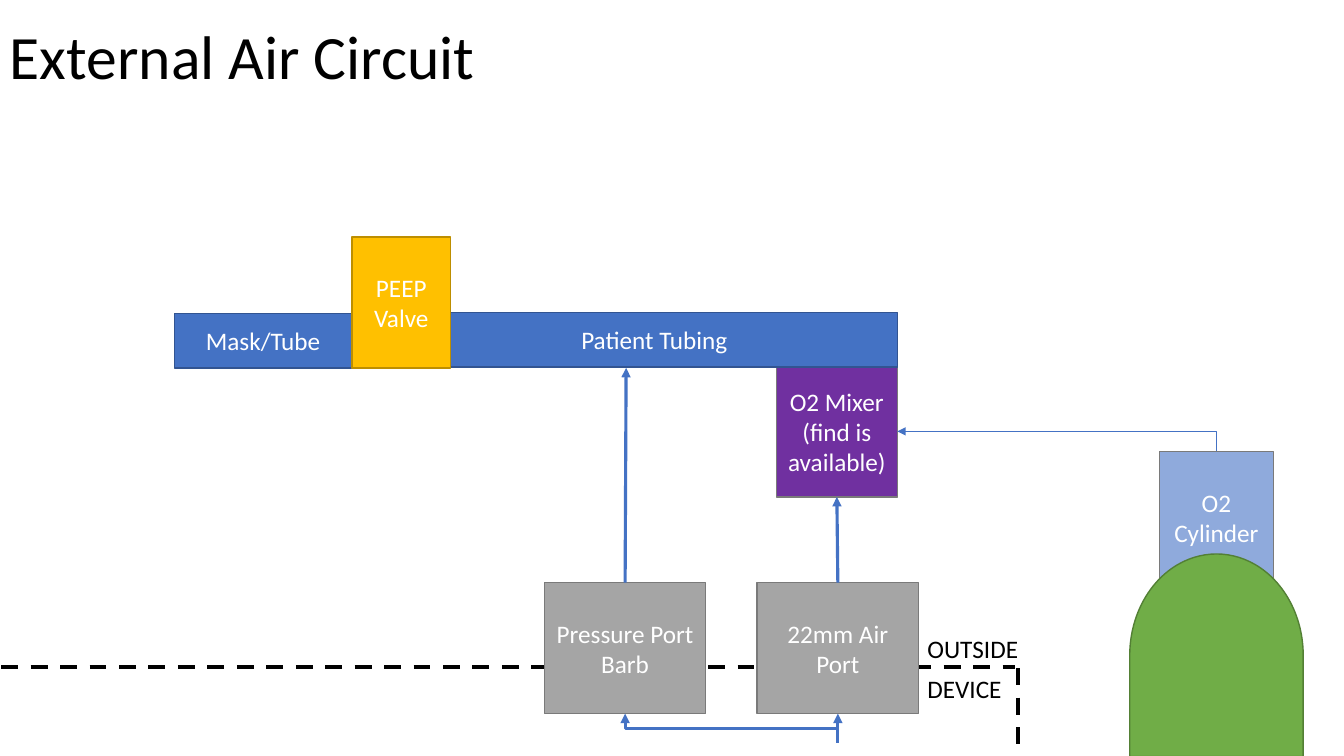
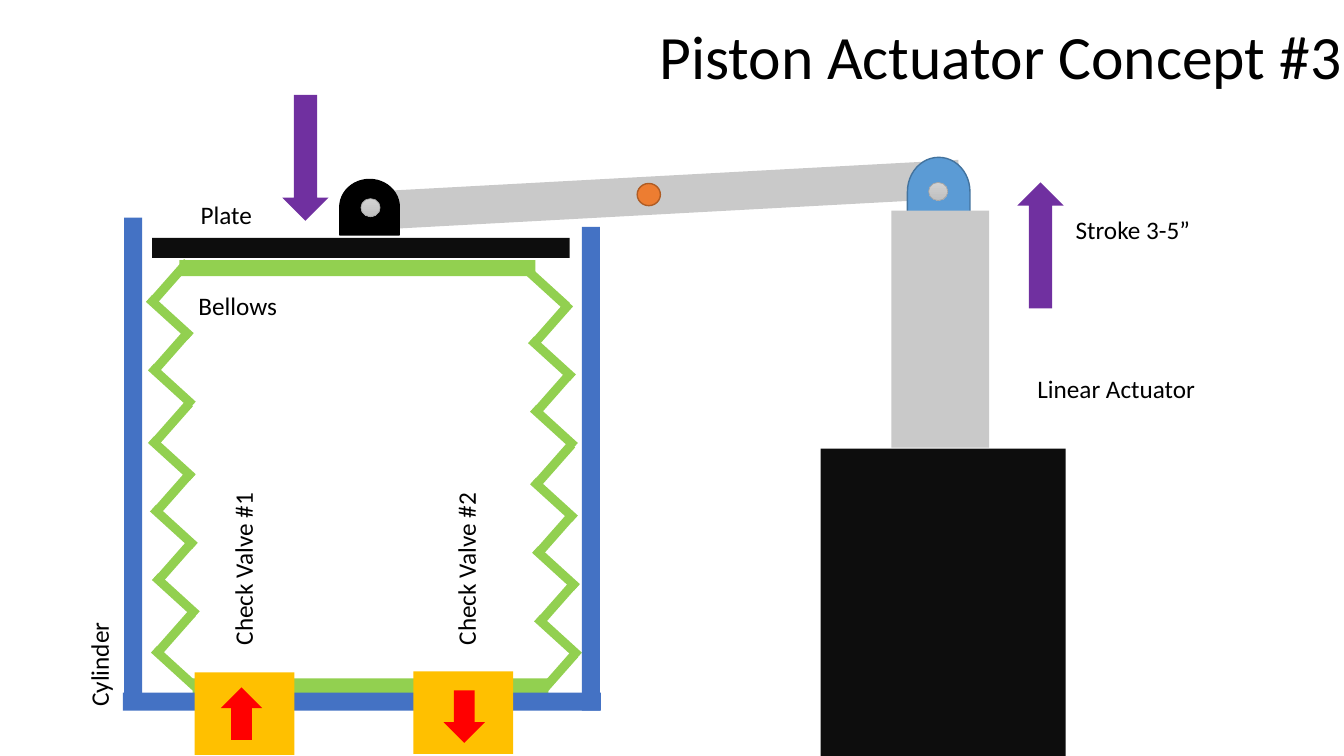
from lxml import etree
from pptx import Presentation
from pptx.dml.color import RGBColor
from pptx.enum.dml import MSO_LINE
from pptx.enum.shapes import MSO_CONNECTOR as CONN, MSO_SHAPE as SHAPE
from pptx.enum.text import MSO_ANCHOR as ANCHOR, PP_ALIGN as ALIGN
from pptx.oxml.ns import qn
from pptx.util import Cm, Pt

FONT = "Calibri"
COLORS = {
    "black": "000000", "white": "FFFFFF", "ink": "0D0D0D",
    "grey": "A5A5A5", "grey_edge": "7A7A7A", "steel": "C9C9C9",
    "pin_top": "D2D2D2", "pin_base": "C0C0C0",
    "blue": "4472C4", "blue_edge": "325491", "pale_blue": "8FAADC",
    "sky": "5B9BD5", "sky_edge": "43739E",
    "gold": "FFC000", "gold_edge": "BD8E00", "purple": "7030A0",
    "green": "70AD47", "green_edge": "538035", "lime": "92D050",
    "orange": "ED7D31", "orange_edge": "AF5C24", "red": "FF0000",
}
TOP, BOTTOM, RIGHT = 0, 2, 3

CIRCUIT_BOXES = [
    ("air_port", ["22mm Air Port"], (7.51, 5.78, 1.6, 1.3), "grey", "grey_edge"),
    ("pressure_port", ["Pressure Port Barb"], (5.4, 5.78, 1.6, 1.3), "grey", "grey_edge"),
    ("mixer", ["O2 Mixer", "(find is available)"], (7.7, 3.63, 1.2, 1.3), "purple", "grey_edge"),
    ("tubing", ["Patient Tubing"], (4.08, 3.1, 4.82, 0.54), "blue", "blue_edge"),
    ("mask", ["Mask/Tube"], (1.73, 3.11, 1.76, 0.54), "blue", "blue_edge"),
    ("peep", ["PEEP Valve"], (3.49, 2.35, 0.98, 1.3), "gold", "gold_edge"),
    ("oxygen", ["O2 Cylinder"], (11.5, 4.48, 1.13, 1.3), "pale_blue", "grey_edge"),
]
BOUNDARY = [((10.1, 6.63), (10.1, 7.5)), ((-0.28, 6.62), (10.07, 6.62))]
CIRCUIT_LABELS = [("DEVICE", (9.1, 6.63, 1.93, 0.4), 0),
                  ("OUTSIDE", (9.1, 6.23, 1.93, 0.4), 0)]
AIR_INLET = (8.31, 7.37)

FOLD_SIZE = (0.09, 0.56)
FOLD_STEP = (0.01, 0.34)
FOLD_TILTS = (41.4, 312.3)
LEFT_FOLDS = [(1.63, 2.53, 4), (1.65, 3.93, 6), (1.68, 6.01, 2)]
RIGHT_FOLDS = [(5.37, 2.57, 1), (5.42, 2.94, 4), (5.44, 4.34, 6), (5.47, 6.42, 1)]
BELLOWS_ENDS = [(1.91, 6.73, 3.53, 0.16), (1.78, 2.58, 3.53, 0.16)]
CYLINDER = [(1.23, 2.16, 0.18, 4.8), (5.77, 2.25, 0.18, 4.8), (1.22, 6.87, 4.74, 0.18)]
LEVER = (3.44, 1.75, 6.08, 0.38)
PLATE = (1.51, 2.36, 4.14, 0.2)
VALVES = [(1.93, 6.67, 0.99, 0.82), (4.1, 6.66, 0.99, 0.82)]
ROD = (8.84, 2.09, 0.97, 2.35)
MOTOR = (8.14, 4.45, 2.43, 3.05)
PIVOT = (6.32, 1.82, 0.23, 0.22)
PINS = [(9.21, 1.81, 0.19, 0.18), (3.58, 1.97, 0.19, 0.18)]
HINGES = [((3.39, 1.76, 0.55, 0.59), "black", "black"),
          ((8.97, 1.59, 0.68, 0.62), "sky", "sky_edge")]
ARROWS = [
    (SHAPE.UP_ARROW, (2.19, 6.82, 0.41, 0.52), "red"),
    (SHAPE.DOWN_ARROW, (4.4, 6.85, 0.41, 0.52), "red"),
    (SHAPE.UP_ARROW, (10.09, 1.81, 0.46, 1.25), "purple"),
    (SHAPE.DOWN_ARROW, (2.8, 0.94, 0.46, 1.25), "purple"),
]
PISTON_LABELS = [(text, (x, y, 2.12, 0.4), turn) for text, x, y, turn in [
    ("Linear Actuator", 10.19, 3.65, 0), ("Bellows", 1.87, 2.83, 0),
    ("Plate", 1.89, 1.93, 0), ("Stroke 3-5”", 10.57, 2.08, 0),
    ("Cylinder", -0.08, 5.85, 270),
    ("Check Valve #1", 1.35, 5.24, 270), ("Check Valve #2", 3.56, 5.24, 270),
]]


def inches(*values):
    return [Cm(v * 2.54) for v in values]


def rgb(name):
    return RGBColor.from_string(COLORS[name])


def write(tf, lines, size=18, color="black", align=None, anchor=ANCHOR.TOP):
    tf.word_wrap = True
    tf.vertical_anchor = anchor
    for i, line in enumerate(lines):
        p = tf.paragraphs[0] if i == 0 else tf.add_paragraph()
        p.alignment = align
        r = p.add_run()
        r.text = line
        r.font.name, r.font.size = FONT, Pt(size)
        r.font.color.rgb = rgb(color)


def add_label(s, text, box, turn=0, **style):
    sp = s.shapes.add_textbox(*inches(*box))
    sp.rotation = turn
    write(sp.text_frame, [text], **style)
    return sp


def add_slide(prs, title, left):
    s = prs.slides.add_slide(prs.slide_layouts[6])
    sp = add_label(s, title, (left, -0.13, 11.5, 1.45), size=44, anchor=ANCHOR.MIDDLE)
    sp.text_frame.paragraphs[0].line_spacing = 0.9
    return s


def add_part(s, box, fill, edge=None, kind=SHAPE.RECTANGLE, turn=0, width=1):
    sp = s.shapes.add_shape(kind, *inches(*box))
    sp.shadow.inherit = False
    sp.rotation = turn
    sp.fill.solid()
    sp.fill.fore_color.rgb = rgb(fill)
    if edge:
        sp.line.color.rgb = rgb(edge)
        sp.line.width = Pt(width)
    else:
        sp.line.fill.background()
    return sp


def add_line(s, start, end, color="blue", width=2.25, kind=CONN.STRAIGHT, arrow=True):
    free = [inches(*e) if isinstance(e[0], (int, float)) else None for e in (start, end)]
    c = s.shapes.add_connector(kind, *(free[0] or (0, 0)), *(free[1] or (0, 0)))
    if not free[0]:
        c.begin_connect(*start)
    if not free[1]:
        c.end_connect(*end)
    c.line.color.rgb = rgb(color)
    c.line.width = Pt(width)
    if arrow:
        etree.SubElement(c.line._get_or_add_ln(), qn("a:tailEnd"), type="triangle")
    else:
        c.line.dash_style = MSO_LINE.DASH
    etree.SubElement(c._element.spPr, qn("a:effectLst"))
    return c


def add_elbow(s, start, end, preset, width=2.25):
    c = add_line(s, start, end, width=width, kind=CONN.ELBOW)
    mid_x, mid_y = (c.begin_x + c.end_x) // 2, (c.begin_y + c.end_y) // 2
    w, h = abs(c.end_y - c.begin_y), abs(c.end_x - c.begin_x)
    c.left, c.top, c.width, c.height = mid_x - w // 2, mid_y - h // 2, w, h
    xfrm = c._element.spPr.find(qn("a:xfrm"))
    for key, value in (("rot", "16200000"), ("flipH", "0"), ("flipV", "1")):
        xfrm.set(key, value)
    c._element.spPr.find(qn("a:prstGeom")).set("prst", preset)


def add_folds(s, runs, first_tilt):
    spots = [(x + i * FOLD_STEP[0], y + i * FOLD_STEP[1])
             for x, y, count in runs for i in range(count)]
    for i, spot in enumerate(spots):
        add_part(s, spot + FOLD_SIZE, "lime", turn=FOLD_TILTS[(first_tilt + i) % 2])


def add_pin(s, box):
    sp = add_part(s, box, "steel", "grey", SHAPE.OVAL, width=0.5)
    sp.fill.gradient()
    sp.fill.gradient_angle = 270
    for stop, color in zip(sp.fill.gradient_stops, ("pin_top", "pin_base")):
        stop.color.rgb = rgb(color)


def build_circuit(prs):
    s = add_slide(prs, "External Air Circuit", 0)
    for start, end in BOUNDARY:
        add_line(s, start, end, "black", 3, arrow=False)
    for label in CIRCUIT_LABELS:
        add_label(s, *label)
    boxes = {}
    for name, lines, box, fill, edge in CIRCUIT_BOXES:
        boxes[name] = add_part(s, box, fill, edge)
        write(boxes[name].text_frame, lines, color="white",
              align=ALIGN.CENTER, anchor=ANCHOR.MIDDLE)
    air, pressure, mixer = boxes["air_port"], boxes["pressure_port"], boxes["mixer"]
    add_line(s, AIR_INLET, (air, BOTTOM))
    add_line(s, (air, TOP), (mixer, BOTTOM))
    add_line(s, (pressure, TOP), (6.21, 3.65))
    add_elbow(s, AIR_INLET, (pressure, BOTTOM), "bentConnector3")
    add_part(s, (11.06, 5.64, 2.01, 1.72), "green", "green_edge", SHAPE.FLOWCHART_DELAY, 270)
    add_elbow(s, (boxes["oxygen"], TOP), (mixer, RIGHT), "bentConnector2", 0.5)


def build_piston(prs):
    s = add_slide(prs, "Piston Actuator Concept #3", 6.44)
    add_part(s, LEVER, "steel", turn=356.9)
    add_folds(s, LEFT_FOLDS, 0)
    add_folds(s, RIGHT_FOLDS, 1)
    for boxes, color in ((BELLOWS_ENDS, "lime"), (CYLINDER, "blue"),
                         ([PLATE], "ink"), (VALVES, "gold")):
        for box in boxes:
            add_part(s, box, color)
    for box, fill, edge in HINGES:
        add_part(s, box, fill, edge, SHAPE.FLOWCHART_DELAY, 270)
    for box in PINS:
        add_pin(s, box)
    add_part(s, ROD, "steel")
    add_part(s, MOTOR, "ink")
    add_part(s, PIVOT, "orange", "orange_edge", SHAPE.OVAL)
    for kind, box, color in ARROWS:
        add_part(s, box, color, kind=kind)
    for label in PISTON_LABELS:
        add_label(s, *label)


def main():
    prs = Presentation()
    prs.slide_width, prs.slide_height = inches(13.33, 7.5)
    build_circuit(prs)
    build_piston(prs)
    prs.save("out.pptx")


if __name__ == "__main__":
    main()
